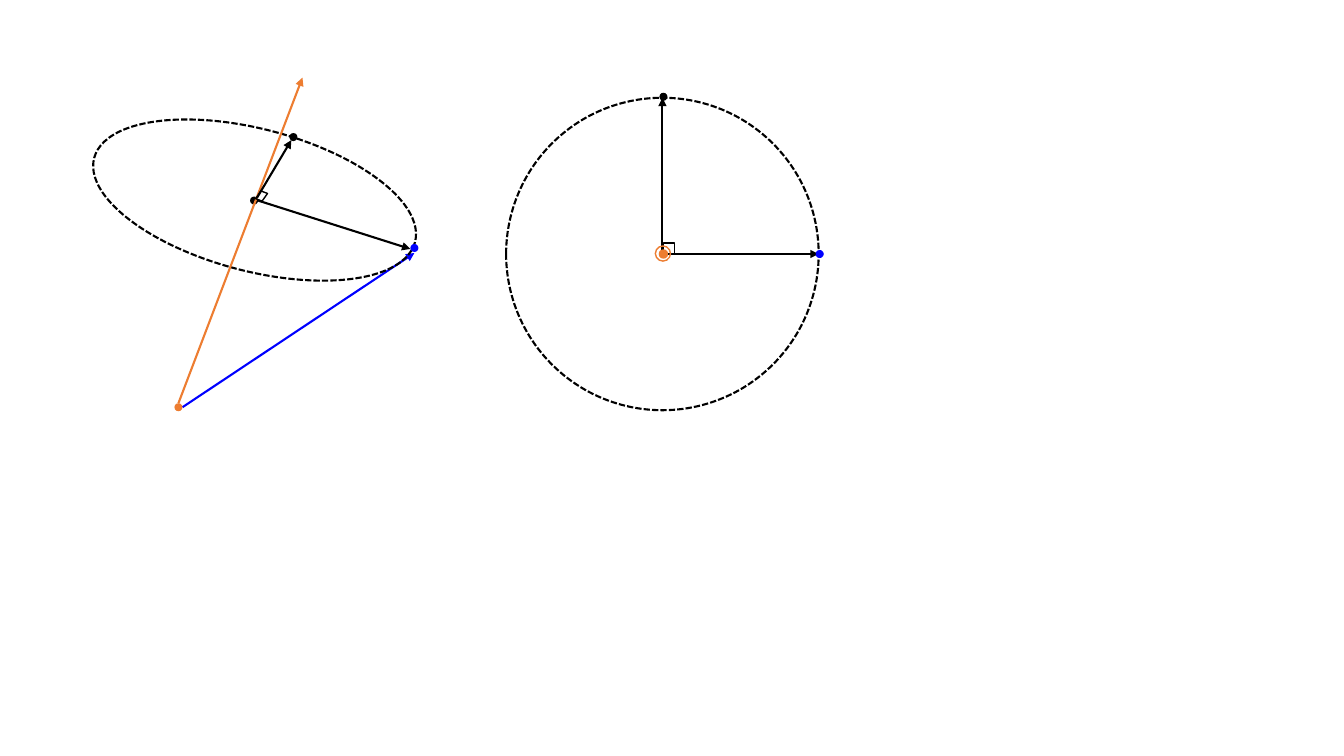
from lxml import etree
from pptx import Presentation
from pptx.dml.color import RGBColor
from pptx.enum.dml import MSO_LINE
from pptx.enum.shapes import MSO_CONNECTOR, MSO_SHAPE
from pptx.oxml.ns import qn
from pptx.util import Emu, Pt

PX = 9144  # EMU per px, 100 px to the inch
SLIDE_SIZE = (1333, 750)
COLORS = {"black": "000000", "blue": "0000FF", "orange": "ED7D31"}
DOT = 8

# Content, back to front; each entry is (part, geometry, color)
ORBIT_CENTER, ORBIT_RADIUS = (657, 252), 155
cx, cy = ORBIT_CENTER
TILTED_VIEW = [
    ("arrow", ((181, 404), (411, 251)), "blue"),
    ("arrow", ((256, 199), (407, 247)), "black"),
    ("dot", (177, 404), "orange"),
    ("orbit", (88, 128, 329, 141, 14.7), "black"),
    ("dot", (411, 246), "blue"),
    ("dot", (252, 199), "black"),
    ("arrow", ((177, 400), (300, 77)), "orange"),
    ("arrow", ((255, 196), (289, 139)), "black"),
    ("dot", (291, 136), "black"),
]
AXIS_VIEW = [
    ("orbit", (cx - ORBIT_RADIUS, cy - ORBIT_RADIUS,
               2 * ORBIT_RADIUS, 2 * ORBIT_RADIUS, 0), "black"),
    ("arrow", (ORBIT_CENTER, (cx, cy - ORBIT_RADIUS)), "black"),
    ("arrow", (ORBIT_CENTER, (cx + ORBIT_RADIUS, cy)), "black"),
    ("dot", (813, 252), "blue"),
    ("dot", (658, 96), "black"),
    ("right angle", (658, 241, 11, 11, 0), "black"),
    ("axis ring", (650, 244, 15, 15, 0), "orange"),
    ("axis tip", (654, 248, DOT, DOT, 0), "orange"),
]
TILTED_ANGLE = [("tilted angle", (255, 190, 9, 9, 20.9), "black")]

# part: (preset, filled, line width in pt, dash)
STYLES = {
    "dot": (MSO_SHAPE.OVAL, True, 0, None),
    "orbit": (MSO_SHAPE.OVAL, False, 1.5, MSO_LINE.SQUARE_DOT),
    "right angle": (MSO_SHAPE.RECTANGLE, False, 1, None),
    "axis ring": (MSO_SHAPE.OVAL, False, 1, None),
    "axis tip": (MSO_SHAPE.OVAL, True, 1, None),
    "tilted angle": (MSO_SHAPE.PARALLELOGRAM, False, 1, None),
}


def px(*lengths):
    return [Emu(length * PX) for length in lengths]


def rgb(color):
    return RGBColor.from_string(COLORS[color])


def add_arrow(diagram, start, end, color):
    arrow = diagram.shapes.add_connector(MSO_CONNECTOR.STRAIGHT, *px(*start, *end))
    arrow.line.color.rgb = rgb(color)
    arrow.line.width = Pt(1.5)
    properties = arrow.line._get_or_add_ln()
    etree.SubElement(properties, qn("a:tailEnd"), type="triangle")
    etree.SubElement(arrow._element.spPr, qn("a:effectLst"))


def add_mark(diagram, part, box, color):
    preset, filled, width, dash = STYLES[part]
    *bounds, rotation = box
    mark = diagram.shapes.add_shape(preset, *px(*bounds))
    mark.rotation = rotation
    mark.shadow.inherit = False
    if filled:
        mark.fill.solid()
        mark.fill.fore_color.rgb = rgb(color)
    else:
        mark.fill.background()
    if not width:
        mark.line.fill.background()
        return
    mark.line.color.rgb = rgb(color)
    for name, value in {"width": Pt(width), "dash_style": dash}.items():
        setattr(mark.line, name, value)


def main():
    presentation = Presentation()
    presentation.slide_width, presentation.slide_height = px(*SLIDE_SIZE)
    slide = presentation.slides.add_slide(presentation.slide_layouts[6])
    diagram = slide.shapes.add_group_shape()

    for part, geometry, color in TILTED_VIEW + AXIS_VIEW + TILTED_ANGLE:
        if part == "arrow":
            add_arrow(diagram, *geometry, color)
            continue
        if part == "dot":  # dots are given by their center
            x, y = geometry
            geometry = (x - DOT // 2, y - DOT // 2, DOT, DOT, 0)
        add_mark(diagram, part, geometry, color)

    presentation.save("out.pptx")


if __name__ == "__main__":
    main()
